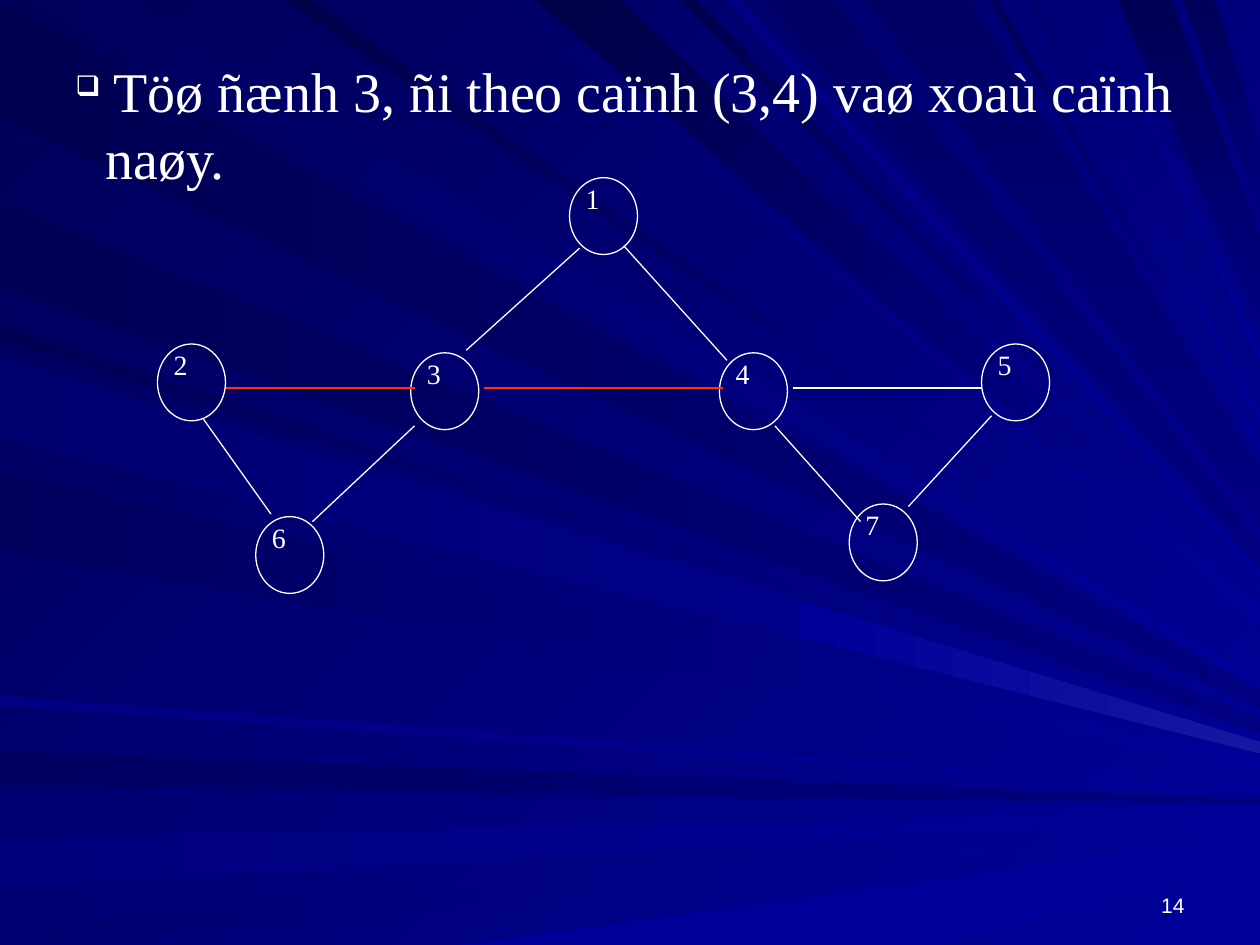
from dataclasses import dataclass

from lxml import etree
from pptx import Presentation
from pptx.dml.color import RGBColor
from pptx.enum.shapes import MSO_CONNECTOR, MSO_SHAPE
from pptx.enum.text import MSO_ANCHOR, PP_ALIGN
from pptx.oxml.ns import qn
from pptx.util import Inches, Pt

ELLIPSE, STRAIGHT = MSO_SHAPE.OVAL, MSO_CONNECTOR.STRAIGHT
LEFT, RIGHT = PP_ALIGN.LEFT, PP_ALIGN.RIGHT
TOP, BOTTOM = MSO_ANCHOR.TOP, MSO_ANCHOR.BOTTOM

# The slide is a grid of 1000 columns by 750 rows.
COLS, ROWS = 1000, 750
CELL = Inches(0.01)


@dataclass(frozen=True)
class Theme:
    serif: str = "Times New Roman"
    sans: str = "Arial"
    ink: str = "FFFFFF"
    walked: str = "FF3300"
    bg_dark: str = "000058"
    bg_light: str = "000099"
    ray_mid: str = "000080"
    ray_glow: str = "1717A2"
    title: int = 32
    lead: int = 18
    label: int = 16
    page: int = 12
    line: float = 0.75


THEME = Theme()
MID, LIGHT, GLOW = THEME.ray_mid, THEME.bg_light, THEME.ray_glow

# All rays meet at one point right of the slide. Each starts between two
# positions on the rim: from 0 rightwards along the top; below 0 down the
# left side and then along the bottom.
FOCUS_X, FOCUS_Y = 1167, 640
GLOW_START = 635
RAYS = [
    (-2, -93, "000051", MID), (101, 26, "00005D", LIGHT),
    (-596, -623, "000061", MID), (-665, -704, "00007D", LIGHT),
    (-735, -804, "00006F", LIGHT), (-1114, -1492, LIGHT, LIGHT),
    (-258, -270, "000053", LIGHT), (-159, -228, "000055", MID),
    (416, 398, "00006B", LIGHT), (492, 426, "000047", LIGHT),
    (552, 540, "00004F", LIGHT), (661, 606, "000065", MID),
    (930, 887, "000055", MID), (964, 939, "000059", MID),
    (-278, -342, "000061", LIGHT), (-374, -437, "00005D", LIGHT),
    (-552, -560, "000082", LIGHT), (247, 225, "00004A", LIGHT),
    (588, 577, "000082", LIGHT), (770, 686, "000065", MID),
    (792, 785, "000058", LIGHT), (824, 815, "00006F", LIGHT),
    (872, 865, "000079", LIGHT), (-283, -347, "00006F", LIGHT),
]

NODE_W, NODE_H = 54, 61
NODES = {"1": (452, 141), "2": (125, 273), "3": (326, 280), "6": (203, 410),
         "4": (571, 280), "5": (779, 273), "7": (674, 400)}

LEVEL = 308
LEVEL_EDGES = [(179, 329, THEME.walked), (384, 574, THEME.walked), (629, 779, THEME.ink)]
SLOPING_EDGES = [(161, 332, 215, 408), (248, 414, 329, 338), (370, 278, 460, 197),
                 (495, 195, 577, 286), (615, 338, 683, 414), (721, 402, 787, 330)]


def cells(*values):
    return [CELL * v for v in values]


def rgb(color):
    return RGBColor.from_string(color)


def paint(fill, dark, light, angle):
    """Fill solid when both colours agree, else with a two-stop gradient."""
    if dark == light:
        fill.solid()
        fill.fore_color.rgb = rgb(dark)
        return
    fill.gradient()
    fill.gradient_angle = -angle % 360
    for stop, color in zip(fill.gradient_stops, (dark, light)):
        stop.color.rgb = rgb(color)


def rim_point(pos):
    if pos >= 0:
        return pos, 0
    return (0, -pos) if -pos <= ROWS else (-pos - ROWS, ROWS)


def toward_focus(point, x):
    """Point at column x on the line from a rim point to the focus."""
    x0, y0 = point
    return x, y0 + (FOCUS_Y - y0) * (x - x0) / (FOCUS_X - x0)


def add_ray(s, first, second, dark, light, start=None):
    a, b = rim_point(first), rim_point(second)
    ends = [toward_focus(b, COLS), toward_focus(a, COLS)]
    if start is not None:
        a, b = toward_focus(a, start), toward_focus(b, start)
    builder = s.shapes.build_freeform(*a, scale=CELL)
    builder.add_line_segments([b, *ends], close=True)
    sp = builder.convert_to_shape()
    sp.shadow.inherit = False
    angle = 0 if first < 0 else 90 if light == MID else 45
    paint(sp.fill, dark, light, angle)
    sp.line.fill.background()


def add_text(s, box, runs, font, align=LEFT, anchor=TOP, before=0):
    """Add a one-paragraph text box from (text, size) runs; return the paragraph."""
    tf = s.shapes.add_textbox(*cells(*box)).text_frame
    tf.word_wrap = True
    tf.vertical_anchor = anchor
    p = tf.paragraphs[0]
    p.alignment = align
    p.space_before = Pt(before)
    for text, size in runs:
        r = p.add_run()
        r.text = text
        r.font.name = font
        r.font.size = Pt(size)
        r.font.color.rgb = rgb(THEME.ink)
    return p


def add_bullet(p, char, indent):
    pPr = p._p.get_or_add_pPr()
    pPr.set("marL", str(indent))
    pPr.set("indent", str(-indent))
    color = etree.SubElement(pPr, qn("a:buClr"))
    etree.SubElement(color, qn("a:srgbClr"), val=THEME.ink)
    etree.SubElement(pPr, qn("a:buSzPct"), val="90000")
    etree.SubElement(pPr, qn("a:buChar"), char=char)


def add_node(s, name, x, y):
    sp = s.shapes.add_shape(ELLIPSE, *cells(x, y, NODE_W, NODE_H))
    sp.shadow.inherit = False
    sp.fill.background()
    sp.line.color.rgb = rgb(THEME.ink)
    sp.line.width = Pt(THEME.line)
    add_text(s, (x + 3, y - 2, 68, 37), [(name, THEME.label)], THEME.serif, before=10)


def add_edge(s, ends, color):
    c = s.shapes.add_connector(STRAIGHT, *cells(*ends))
    c.line.color.rgb = rgb(color)
    c.line.width = Pt(THEME.line)
    etree.SubElement(c._element.spPr, qn("a:effectLst"))


def main():
    prs = Presentation()
    prs.slide_width, prs.slide_height = cells(COLS, ROWS)
    s = prs.slides.add_slide(prs.slide_layouts[6])
    paint(s.background.fill, THEME.bg_dark, THEME.bg_light, 45)
    for ray in RAYS:
        add_ray(s, *ray)
    first, second = RAYS[-1][:2]
    add_ray(s, first, second, LIGHT, GLOW, GLOW_START)

    add_text(s, (717, 683, 233, 50), [("14", THEME.page)], THEME.sans, RIGHT, BOTTOM)
    title = [(" ", THEME.lead),
             ("Töø ñænh 3, ñi theo caïnh (3,4) vaø xoaù caïnh naøy.", THEME.title)]
    p = add_text(s, (50, 40, 933, 198), title, THEME.serif, before=20)
    add_bullet(p, "❑", CELL * 24)

    for name, (x, y) in NODES.items():
        add_node(s, name, x, y)
    for x1, x2, color in LEVEL_EDGES:
        add_edge(s, (x1, LEVEL, x2, LEVEL), color)
    for ends in SLOPING_EDGES:
        add_edge(s, ends, THEME.ink)
    prs.save("out.pptx")


if __name__ == "__main__":
    main()
